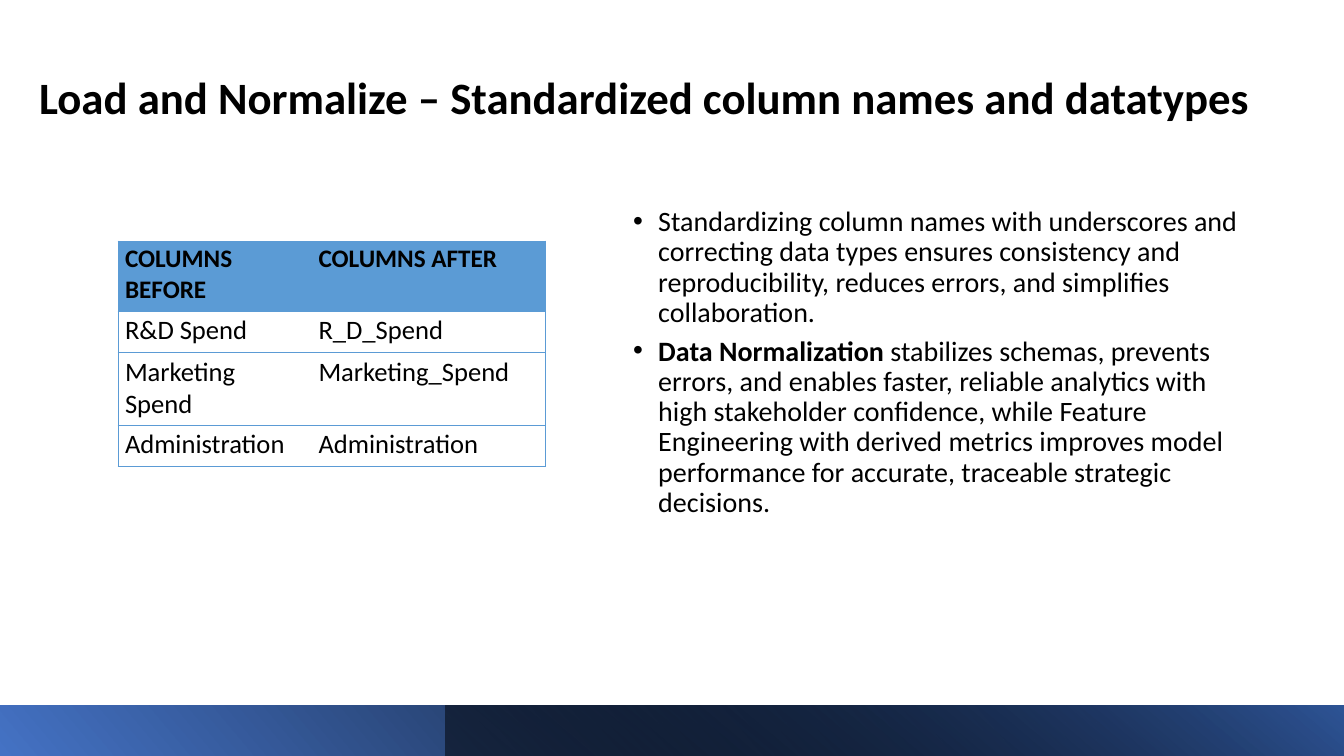
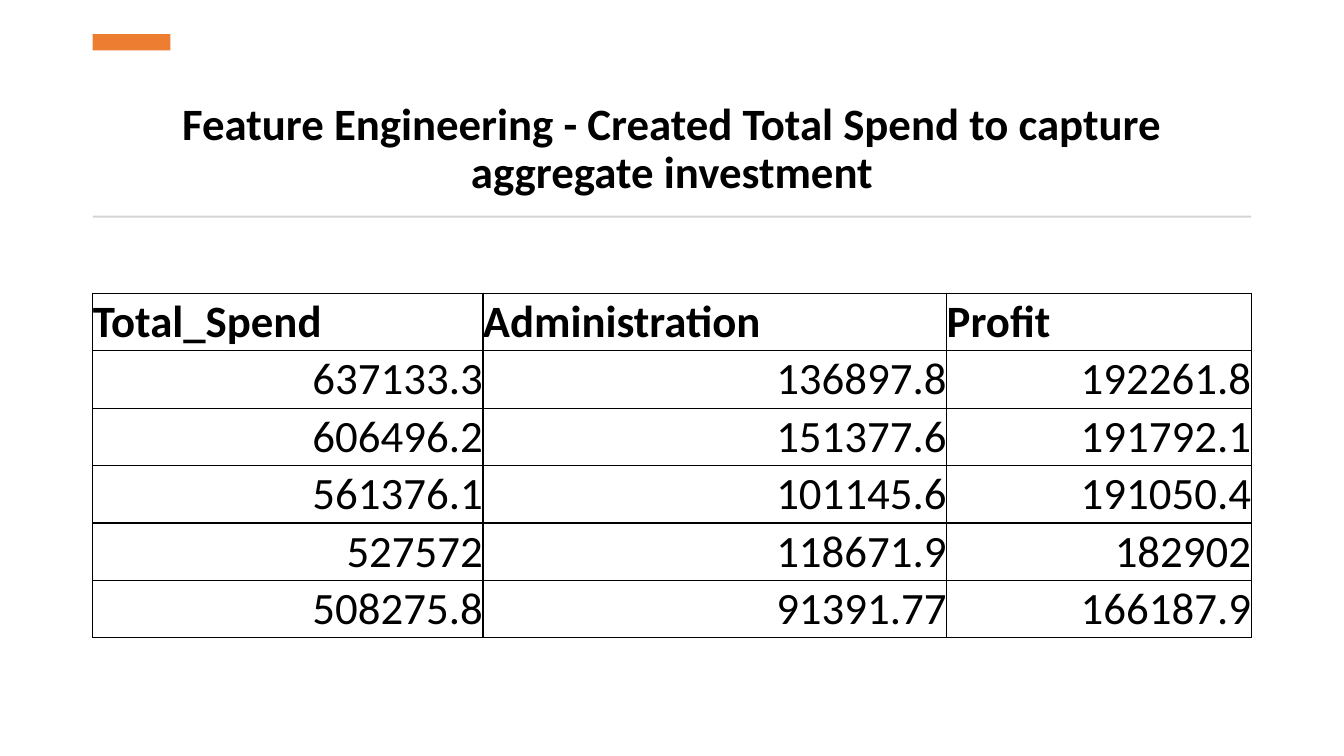
"""Build two slides on column names and total spend."""
from pptx import Presentation
from pptx.dml.color import RGBColor
from pptx.enum.shapes import MSO_SHAPE
from pptx.enum.text import MSO_ANCHOR, PP_ALIGN
from pptx.oxml.ns import qn
from pptx.util import Inches, Pt
from lxml.etree import SubElement

BLACK = RGBColor(0x00, 0x00, 0x00)
BLUE = RGBColor(0x44, 0x72, 0xC4)
NAVY = RGBColor(0x2F, 0x55, 0x97)
SKY = RGBColor(0x5B, 0x9B, 0xD5)
ORANGE = RGBColor(0xED, 0x7D, 0x31)
GREY = RGBColor(0xD5, 0xD5, 0xD5)


class Deck:
    font = "Calibri"

    def __init__(self):
        self.file = Presentation()
        self.file.slide_width = Inches(13.33)
        self.file.slide_height = Inches(7.5)

    def page(self):
        self.slide = self.file.slides.add_slide(self.file.slide_layouts[6])

    def style(self, para, size, bold=None, align=PP_ALIGN.LEFT):
        para.alignment = align
        para.font.name = self.font
        para.font.size = Pt(size)
        para.font.bold = bold
        para.font.color.rgb = BLACK

    def box(self, spot, anchor=MSO_ANCHOR.TOP):
        frame = self.slide.shapes.add_textbox(*map(Inches, spot)).text_frame
        frame.word_wrap = True
        frame.vertical_anchor = anchor
        return frame

    def title(self, spot, text, align=PP_ALIGN.LEFT, after=0):
        para = self.box(spot, MSO_ANCHOR.BOTTOM).paragraphs[0]
        para.text = text
        para.line_spacing = 0.9
        para.space_after = Pt(after)
        self.style(para, 32, True, align)

    def bullets(self, spot, items):
        frame = self.box(spot)
        for i, (lead, text) in enumerate(items):
            para = frame.add_paragraph() if i else frame.paragraphs[0]
            if lead:
                run = para.add_run()
                run.text = lead
                run.font.bold = True
            para.add_run().text = text
            para.line_spacing = 0.9
            para.space_after = Pt(6)
            self.style(para, 20)
            props = para._p.get_or_add_pPr()
            props.set("marL", str(Inches(0.31)))
            props.set("indent", str(Inches(-0.25)))
            face = SubElement(props, qn("a:buFont"), typeface="Arial")
            face.addnext(SubElement(props, qn("a:buChar"), char="•"))
            for mark in props.findall(qn("a:defRPr")):
                props.append(mark)

    def rect(self, spot, color=None):
        shape = self.slide.shapes.add_shape(
            MSO_SHAPE.RECTANGLE, *map(Inches, spot))
        shape.shadow.inherit = False
        shape.line.fill.background()
        if color is not None:
            shape.fill.solid()
            shape.fill.fore_color.rgb = color
        return shape

    def fade(self, spot, angle, stops):
        shape = self.rect(spot)
        shape.fill.gradient()
        shape.fill.gradient_angle = angle
        for stop, (place, color, alpha) in zip(shape.fill.gradient_stops, stops):
            stop.position = place
            stop.color.rgb = color
            if alpha < 100:
                for node in stop._gs.findall(qn("a:srgbClr")):
                    SubElement(node, qn("a:alpha"), val=str(alpha * 1000))

    def edge(self, cell, side, color, width):
        props = cell._tc.get_or_add_tcPr()
        line = SubElement(props, qn("a:ln" + side), w=str(Pt(width)))
        if color is None:
            SubElement(line, qn("a:noFill"))
        else:
            fill = SubElement(line, qn("a:solidFill"))
            SubElement(fill, qn("a:srgbClr"), val=str(color))

    def table(self, left, top, cols, rows, data, sizes, color, width,
              pad=(0, 0), anchor=MSO_ANCHOR.TOP, align=PP_ALIGN.LEFT,
              head=None, inner=True):
        grid = self.slide.shapes.add_table(
            len(rows), len(cols), Inches(left), Inches(top),
            Inches(sum(cols)), Inches(sum(rows))).table
        grid.first_row = grid.horz_banding = False
        for col, size in zip(grid.columns, cols):
            col.width = Inches(size)
        for row, size in zip(grid.rows, rows):
            row.height = Inches(size)
        last = len(cols) - 1
        for r, line in enumerate(data):
            for c, text in enumerate(line):
                cell = grid.cell(r, c)
                cell.text = text
                cell.vertical_anchor = anchor
                cell.margin_left = cell.margin_right = Inches(pad[0])
                cell.margin_top = cell.margin_bottom = Inches(pad[1])
                self.style(cell.text_frame.paragraphs[0], sizes[r > 0],
                           r == 0, align if r else PP_ALIGN.LEFT)
                shown = {"L": inner or c == 0, "R": inner or c == last,
                         "T": True, "B": True}
                for side, show in shown.items():
                    self.edge(cell, side, color if show else None, width)
                if head is not None and r == 0:
                    cell.fill.solid()
                    cell.fill.fore_color.rgb = head
                else:
                    cell.fill.background()


def names(deck):
    deck.page()
    deck.title((0.29, -0.58, 12.41, 1.86),
               "Load and Normalize – Standardized column names and datatypes",
               after=6)
    deck.bullets((6.12, 2.01, 6.29, 3.5), [
        ("", "Standardizing column names with underscores and correcting "
             "data types ensures consistency and reproducibility, reduces "
             "errors, and simplifies collaboration."),
        ("Data Normalization",
         " stabilizes schemas, prevents errors, and enables faster, reliable "
         "analytics with high stakeholder confidence, while Feature "
         "Engineering with derived metrics improves model performance for "
         "accurate, traceable strategic decisions."),
    ])
    deck.fade((0, 7, 13.33, 0.5), 40, [(0, BLUE, 100), (0.9, BLACK, 100)])
    deck.fade((4.42, 7, 8.91, 0.5), 50, [(0, BLACK, 50), (1, NAVY, 100)])
    deck.table(1.17, 2.39, (1.92, 2.32), (0.7, 0.41, 0.72, 0.41), [
        ("COLUMNS BEFORE", "COLUMNS AFTER"),
        ("R&D Spend", "R_D_Spend"),
        ("Marketing Spend", "Marketing_Spend"),
        ("Administration", "Administration"),
    ], (18, 19), SKY, 0.5, pad=(0.07, 0.03), head=SKY, inner=False)


def spend(deck):
    deck.page()
    deck.title((0.92, 0.75, 11.49, 1.27),
               "Feature Engineering - Created Total Spend to capture "
               "aggregate investment", PP_ALIGN.CENTER)
    deck.rect((0.92, 0.34, 0.77, 0.16), ORANGE)
    deck.rect((0.92, 2.14, 11.49, 0.02), GREY)
    deck.table(0.92, 2.91, (3.87, 4.6, 3.02), [0.57] * 6, [
        ("Total_Spend", "Administration", "Profit"),
        ("637133.3", "136897.8", "192261.8"),
        ("606496.2", "151377.6", "191792.1"),
        ("561376.1", "101145.6", "191050.4"),
        ("527572", "118671.9", "182902"),
        ("508275.8", "91391.77", "166187.9"),
    ], (32, 32), BLACK, 1, anchor=MSO_ANCHOR.MIDDLE, align=PP_ALIGN.RIGHT)


def main():
    deck = Deck()
    names(deck)
    spend(deck)
    deck.file.save("out.pptx")


if __name__ == "__main__":
    main()
